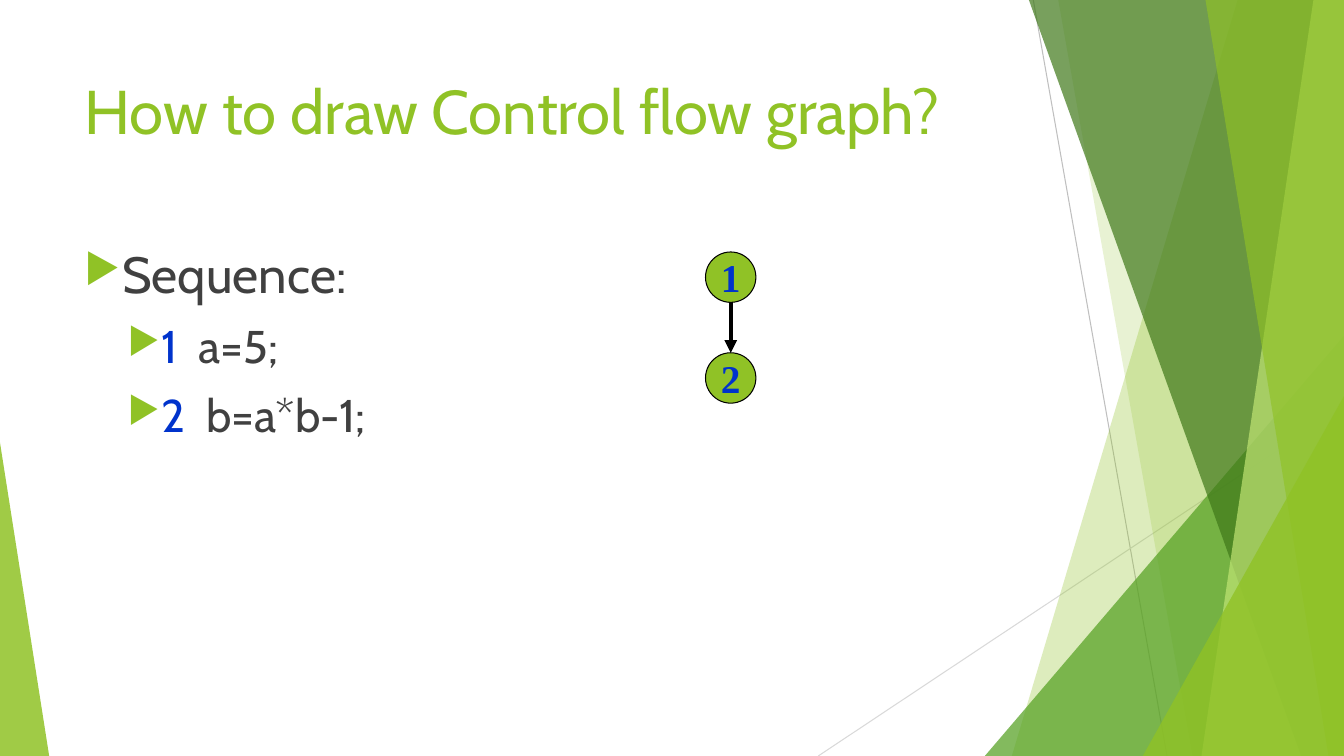
from lxml import etree
from pptx import Presentation
from pptx import util as u
from pptx.dml.color import RGBColor
from pptx.enum import shapes, text
from pptx.oxml.ns import qn

WIDE, HIGH = 33.87, 19.05
LIME, INK, BLUE = "90C226", "404040", "0033CC"


def color(code):
    """Turn a hex string into a colour."""
    return RGBColor.from_string(code)


def sub(node, tag, **attrs):
    """Append a drawing element to a node."""
    return etree.SubElement(node, qn(tag), **attrs)


def style(font, **form):
    """Apply a dict of format values to a font."""
    font.color.rgb = color(form.pop("hue"))
    for key, val in form.items():
        setattr(font, key, val)


def paint(shape, hue, alpha=100):
    """Fill a shape with no outline, at an opacity in percent."""
    shape.shadow.inherit = False
    shape.fill.solid()
    shape.fill.fore_color.rgb = color(hue)
    shape.line.fill.background()
    if alpha < 100:
        tone = shape._element.spPr.find(qn("a:solidFill"))[0]
        sub(tone, "a:alpha", val=str(alpha * 1000))


def link(slide, start, end, hue, width):
    """Draw a straight line between two points in centimetres."""
    ends = [u.Cm(v) for v in (*start, *end)]
    line = slide.shapes.add_connector(shapes.MSO_CONNECTOR.STRAIGHT, *ends)
    line.line.color.rgb = color(hue)
    line.line.width = u.Pt(width)
    sub(line._element.spPr, "a:effectLst")
    return line


def shard(slide, top, base, hue, alpha):
    """Draw a full-height panel from a slanted edge to the right side."""
    pts = [(top, 0), (WIDE, 0), (WIDE, HIGH), (base, HIGH)]
    pts = [(u.Cm(x), u.Cm(y)) for x, y in pts]
    pen = slide.shapes.build_freeform(*pts[0])
    pen.add_line_segments(pts[1:], close=True)
    paint(pen.convert_to_shape(), hue, alpha)


def wedge(slide, left, top, right, peak, hue, alpha):
    """Draw a triangle that stands on the bottom edge."""
    box = [u.Cm(v) for v in (left, top, right - left, HIGH - top)]
    tri = slide.shapes.add_shape(shapes.MSO_SHAPE.ISOSCELES_TRIANGLE, *box)
    tri.adjustments[0] = peak
    paint(tri, hue, alpha)


def decor(slide):
    """Draw the lines and clear panels behind the content."""
    link(slide, (26.04, 0), (29.41, HIGH), "BFBFBF", 0.75)
    link(slide, (WIDE, 10.24), (20.62, HIGH), "D9D9D9", 0.75)
    shard(slide, 31.19, 25.5, LIME, 30)
    shard(slide, 26.67, 30.05, LIME, 20)
    wedge(slide, 24.82, 8.46, WIDE, 1, "54A021", 72)
    shard(slide, 25.93, 32.79, "3F7819", 70)
    shard(slide, 33.1, 30.28, "C0E474", 70)
    shard(slide, 30.38, 33.48, LIME, 65)
    wedge(slide, 28.8, 9.98, WIDE, 1, LIME, 80)
    wedge(slide, 0, 11.15, 1.24, 0, LIME, 85)


def frame(slide, *box):
    """Add a wrapping text box and return its text frame."""
    area = slide.shapes.add_textbox(*[u.Cm(v) for v in box])
    area.text_frame.word_wrap = True
    return area.text_frame


def title(slide, words, *box):
    """Write the slide title in its box."""
    run = frame(slide, *box).paragraphs[0].add_run()
    run.text = words
    style(run.font, name="Cabin", size=u.Pt(44.1), hue=LIME)


def bullet(para, left, hang):
    """Give a paragraph a hanging arrow bullet."""
    props = para._p.get_or_add_pPr()
    props.set("marL", str(u.Cm(left)))
    props.set("indent", str(-u.Cm(hang)))
    sub(sub(props, "a:buClr"), "a:srgbClr", val=LIME)
    sub(props, "a:buSzPct", val="80000")
    sub(props, "a:buChar", char="▶")


def listing(slide, rows, *box):
    """Write a heading bullet and the numbered code bullets under it."""
    body = frame(slide, *box)
    for spot, runs in enumerate(rows):
        para = body.add_paragraph() if spot else body.paragraphs[0]
        if spot:
            para.level = 1
            para.space_before = u.Pt(10)
        bullet(para, *((1.88, 0.79) if spot else (0.86, 0.86)))
        for words, hue in runs:
            run = para.add_run()
            run.text = words
            style(run.font, name="Cabin", size=u.Pt(32.7 if spot else 36.3), hue=hue)


def node(slide, label, left, top, size):
    """Draw a numbered graph node."""
    box = [u.Cm(v) for v in (left, top, size, size)]
    disc = slide.shapes.add_shape(shapes.MSO_SHAPE.OVAL, *box)
    paint(disc, LIME)
    disc.line.color.rgb = color("000000")
    disc.line.width = u.Pt(0.75)
    body = disc.text_frame
    body.word_wrap = False
    body.vertical_anchor = text.MSO_ANCHOR.MIDDLE
    para = body.paragraphs[0]
    para.alignment = text.PP_ALIGN.CENTER
    run = para.add_run()
    run.text = label
    style(run.font, name="Times New Roman", size=u.Pt(28.1), bold=True, hue=BLUE)


def graph(slide, labels, left, top, size):
    """Stack nodes one size apart with an arrow into each later one."""
    mid = left + size / 2
    for spot, label in enumerate(labels):
        head = top + 2 * size * spot
        node(slide, label, left, head, size)
        if spot:
            arrow = link(slide, (mid, head - size), (mid, head), "000000", 3)
            sub(arrow._element.spPr.find(qn("a:ln")), "a:tailEnd", type="triangle")


def main():
    """Build the slide and save it."""
    deck = Presentation()
    deck.slide_width, deck.slide_height = u.Cm(WIDE), u.Cm(HIGH)
    slide = deck.slides.add_slide(deck.slide_layouts[6])
    decor(slide)
    title(slide, "How to draw Control flow graph?", 1.88, 1.7, 23.88, 3.66)
    rows = [
        [("Sequence:", INK)],
        [("1", BLUE), ("  a=5;", INK)],
        [("2", BLUE), ("  b=a*b-1;", INK)],
    ]
    listing(slide, rows, 1.88, 6, 23.88, 10.77)
    graph(slide, "12", 17.78, 6.35, 1.27)
    deck.save("out.pptx")


if __name__ == "__main__":
    main()
